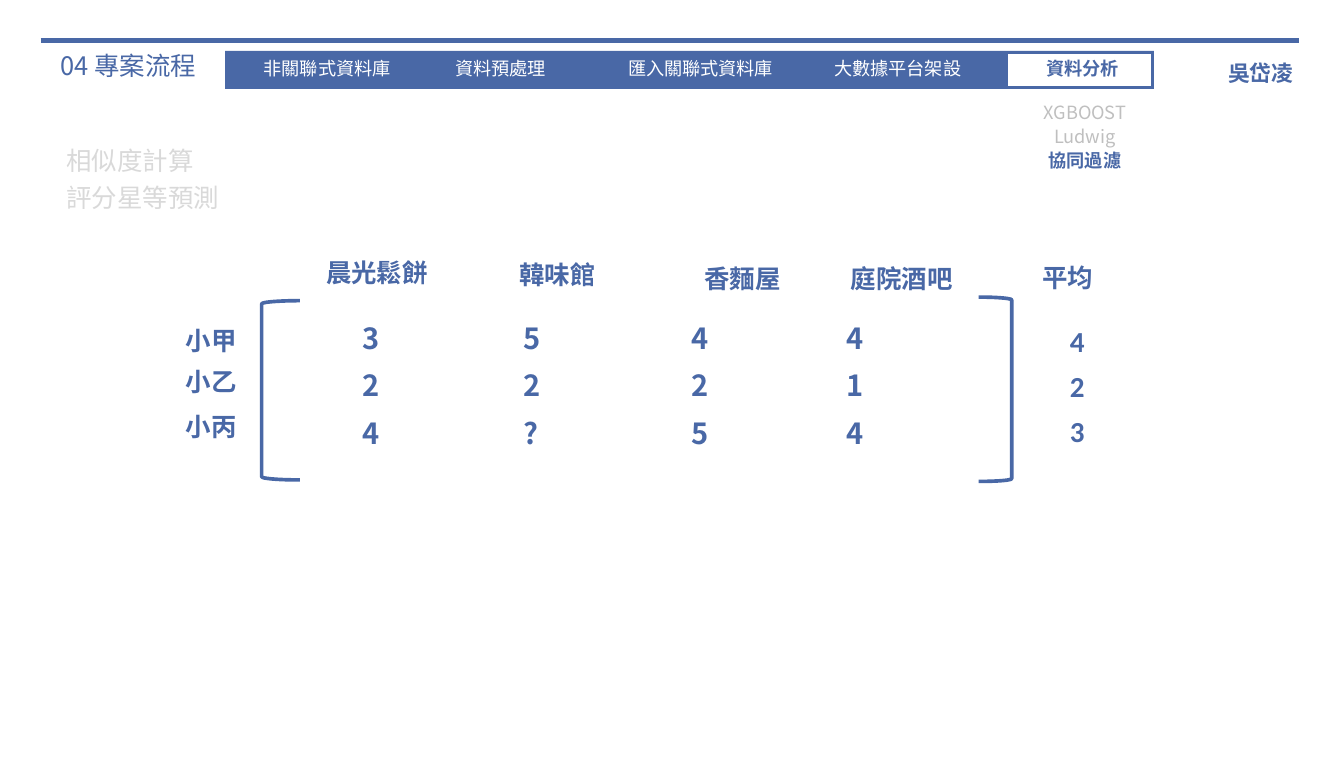
from lxml import etree
from pptx import Presentation
from pptx.dml.color import RGBColor
from pptx.enum import shapes, text
from pptx.oxml import ns
from pptx.util import Cm, Pt

BLUE = RGBColor(0x49, 0x68, 0xA6)
WHITE = RGBColor(0xFF, 0xFF, 0xFF)
GREY = RGBColor(0xBF, 0xBF, 0xBF)
PALE = RGBColor(0xD9, 0xD9, 0xD9)
FONT = "Noto Sans CJK SC"
CENTER, LEFT = text.PP_ALIGN.CENTER, text.PP_ALIGN.LEFT

# Lengths are centimetres
TITLE = "04 專案流程"
TOPICS = ["相似度計算", "評分星等預測"]
AUTHOR = "吳岱凌"
STEPS = [  # label, centre, width
    ("非關聯式資料庫", 6.35, 3.9),
    ("資料預處理", 9.72, 2.95),
    ("匯入關聯式資料庫", 13.6, 3.86),
    ("大數據平台架設", 17.43, 3.7),
    ("資料分析", 21.02, 3.15),
]
METHODS = ["XGBOOST", "Ludwig", "協同過濾"]
COLUMNS = [  # heading, centre, top
    ("晨光鬆餅", 7.32, 4.86),
    ("韓味館", 10.82, 4.9),
    ("香麵屋", 14.42, 4.98),
    ("庭院酒吧", 17.51, 4.98),
    ("平均", 20.73, 4.96),
]
USERS = [  # name, top of name, ratings
    ("小甲", 6.18, "3544"),
    ("小乙", 6.97, "2221"),
    ("小丙", 7.86, "4?54"),
]
AVERAGES = ["4", "2", "3"]
RATING_LEFTS = [6.78, 9.92, 13.18, 16.19]
RATINGS_TOP, RATINGS_STEP = 6.09, 0.92

STEP = dict(size=Pt(10), color=WHITE)
HEADING = dict(size=Pt(14), bold=True)
RATING = dict(align=LEFT, size=Pt(16), bold=True)


def write(shape, lines, align=CENTER, spacing=1.0, font=FONT,
          color=BLUE, size=Pt(14), bold=False):
    frame = shape.text_frame
    frame.text = "\n".join(lines)
    for name, value in dict(word_wrap=True, auto_size=text.MSO_AUTO_SIZE.NONE,
                            vertical_anchor=text.MSO_ANCHOR.TOP,
                            margin_left=Cm(0.25), margin_right=Cm(0.25),
                            margin_top=Cm(0.13), margin_bottom=Cm(0.13)).items():
        setattr(frame, name, value)
    for paragraph in frame.paragraphs:
        properties = paragraph._p.get_or_add_pPr()
        properties.set("marL", "0")
        properties.set("indent", "0")
        etree.SubElement(properties, ns.qn("a:buNone"))
        for name, value in dict(alignment=align, line_spacing=spacing,
                                space_before=Pt(0), space_after=Pt(0)).items():
            setattr(paragraph, name, value)
        for run in paragraph.runs:
            for name, value in dict(name=font, size=size, bold=bold).items():
                setattr(run.font, name, value)
            run.font.color.rgb = color
            etree.SubElement(run._r.get_or_add_rPr(), ns.qn("a:ea"), typeface=font)
    return shape


def place(shape, *box):
    for name, value in zip(("left", "top", "width", "height"), box):
        setattr(shape, name, Cm(value))
    return shape


def add_text(slide, box, lines, **style):
    return write(slide.shapes.add_textbox(*map(Cm, box)), lines, **style)


def add_outline(slide, kind, box, fill=None, width=None):
    shape = slide.shapes.add_shape(kind, *map(Cm, box))
    shape.shadow.inherit = False
    if fill is None:
        shape.fill.background()
    else:
        shape.fill.solid()
        shape.fill.fore_color.rgb = fill
    if width is None:
        shape.line.fill.background()
    else:
        shape.line.color.rgb = BLUE
        shape.line.width = Pt(width)


def add_header(slide):
    write(place(slide.shapes.title, 0.61, 0.84, 3.76, 0.86), [TITLE])
    rule = slide.shapes.add_connector(shapes.MSO_CONNECTOR.STRAIGHT,
                                      Cm(0.79), Cm(0.79), Cm(25.22), Cm(0.79))
    rule.line.color.rgb = BLUE
    rule.line.width = Pt(3)
    etree.SubElement(rule._element.spPr, ns.qn("a:effectLst"))

    rectangle = shapes.MSO_SHAPE.RECTANGLE
    add_outline(slide, rectangle, (4.37, 0.99, 18.03, 0.74), fill=BLUE)
    add_outline(slide, rectangle, (19.56, 1.04, 2.79, 0.64), fill=WHITE, width=0.75)
    for label, centre, width in STEPS:
        current = dict(color=BLUE, bold=True) if label == STEPS[-1][0] else {}
        add_text(slide, (centre - width / 2, 0.99, width, 0.69), [label],
                 **{**STEP, **current})
    add_text(slide, (23.37, 1.04, 2.21, 0.76), [AUTHOR], size=Pt(12), bold=True)

    methods = add_text(slide, (19.75, 1.8, 2.62, 1.65), METHODS,
                       spacing=1.1, size=Pt(10), color=GREY)
    chosen = methods.text_frame.paragraphs[-1].runs[0].font
    chosen.bold = True
    chosen.color.rgb = BLUE


def add_matrix(slide):
    add_outline(slide, shapes.MSO_SHAPE.LEFT_BRACKET, (5.08, 5.84, 0.74, 3.48), width=2)
    add_outline(slide, shapes.MSO_SHAPE.RIGHT_BRACKET, (19, 5.77, 0.64, 3.58), width=2)
    for heading, centre, top in COLUMNS:
        add_text(slide, (centre - 1.5, top, 3, 0.86), [heading], **HEADING)
    for row, (user, top, ratings) in enumerate(USERS):
        add_text(slide, (3.2, top, 1.8, 0.86), [user], **HEADING)
        for left, rating in zip(RATING_LEFTS, ratings):
            add_text(slide, (left, RATINGS_TOP + row * RATINGS_STEP, 1.2, 0.94),
                     [rating], **RATING)
    add_text(slide, (20.52, 5.94, 1.24, 2.9), AVERAGES,
             spacing=1.3, font="Calibri", **RATING)


def main():
    presentation = Presentation()
    presentation.slide_width, presentation.slide_height = Cm(26.09), Cm(15.01)
    slide = presentation.slides.add_slide(presentation.slide_layouts[1])
    add_header(slide)
    write(place(slide.placeholders[1], 1.04, 2.57, 4.5, 1.68), TOPICS,
          align=LEFT, spacing=1.2, color=PALE)
    add_matrix(slide)
    presentation.save("out.pptx")


if __name__ == "__main__":
    main()
